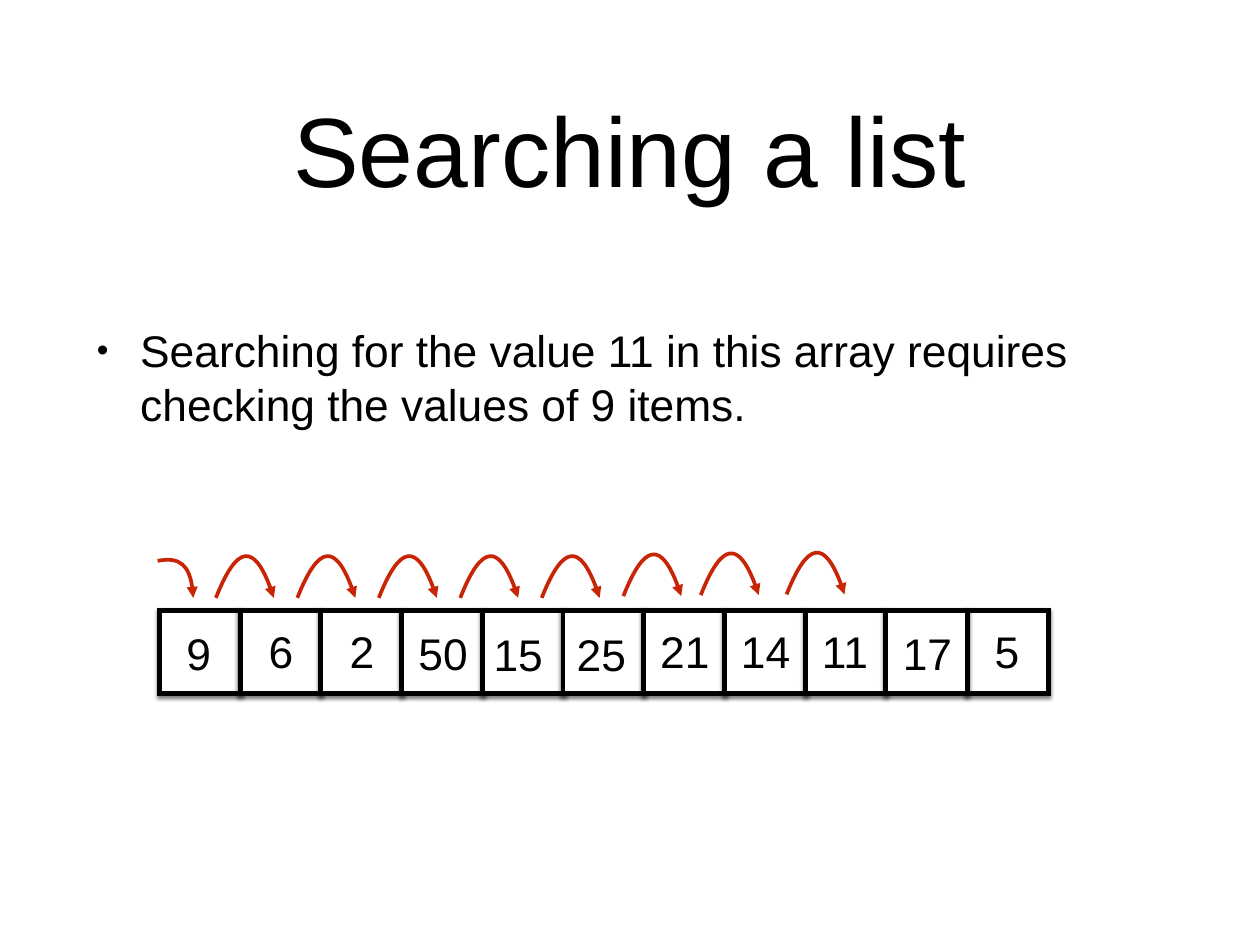
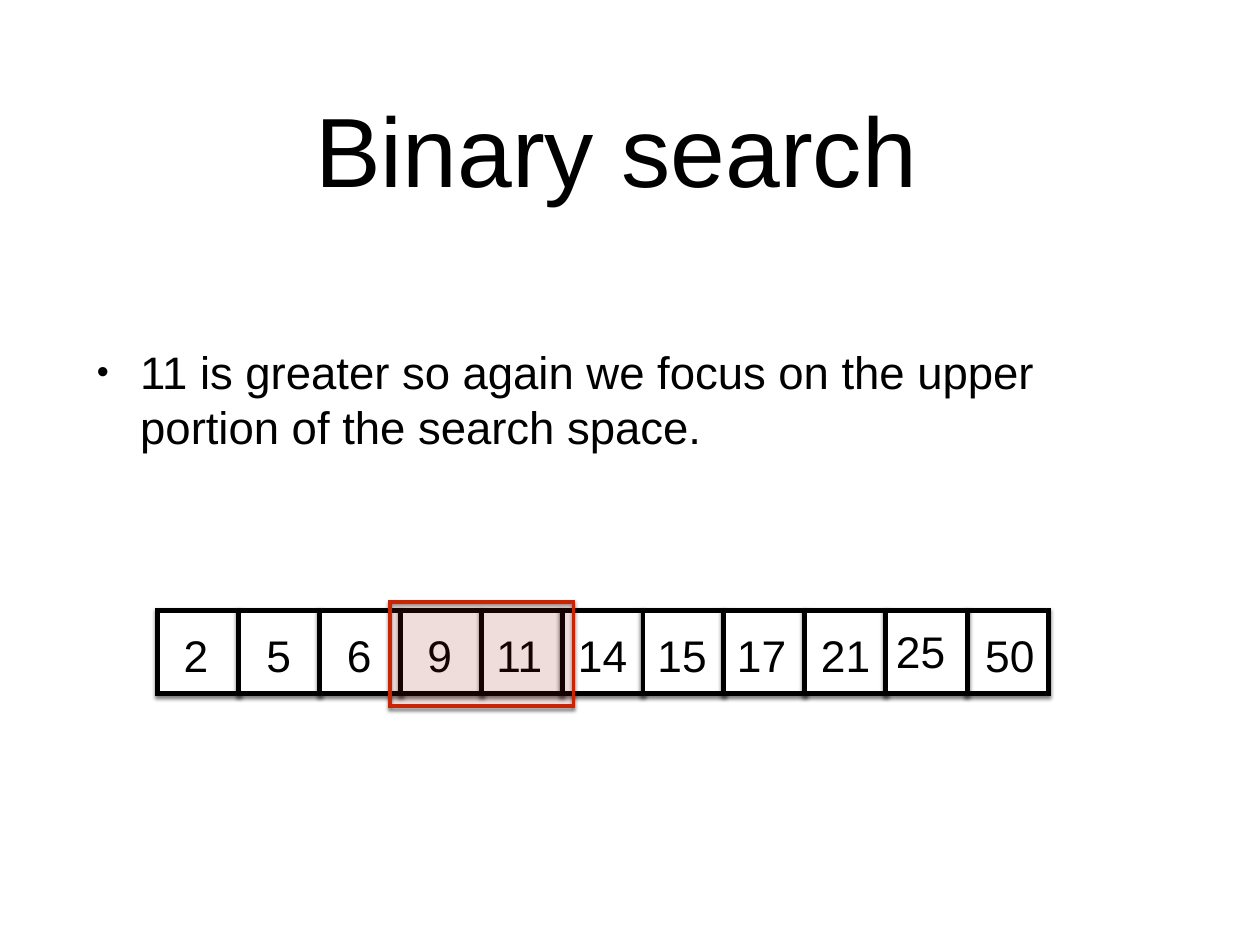
import dataclasses

import pptx
import pptx.dml.color
import pptx.enum.shapes
import pptx.enum.text
import pptx.oxml
import pptx.oxml.ns
import pptx.util
from lxml import etree

Cm = pptx.util.Cm
Pt = pptx.util.Pt
Color = pptx.dml.color.RGBColor
qn = pptx.oxml.ns.qn
Anchor = pptx.enum.text.MSO_ANCHOR
Align = pptx.enum.text.PP_ALIGN


@dataclasses.dataclass(frozen=True)
class Theme:
    font: str = "Arial"
    ink: Color = Color.from_string("000000")
    paper: Color = Color.from_string("FFFFFF")
    accent: Color = Color.from_string("C82506")
    title_size: int = 80
    value_size: int = 36
    cell_line: int = 4
    accent_line: int = 3


CELL_TOP, CELL_WIDTH, CELL_HEIGHT = 17.49, 2.34, 2.39
LAST_CELL_LEFT = 27.71
LABEL_HEIGHT = 1.8

# Each entry: value, shift from the cell centre, top of the label
UNSORTED = [
    ("9", -0.04, 17.81), ("6", 0, 17.75), ("2", 0.01, 17.75),
    ("50", 0.02, 17.81), ("15", -0.14, 17.83), ("25", -0.07, 17.83),
    ("21", 0.01, 17.75), ("14", 0.01, 17.75), ("11", -0.03, 17.75),
    ("17", 0.02, 17.81), ("5", -0.01, 17.75),
]
SORTED = [
    ("2", -0.07, 17.87), ("5", -0.02, 17.87), ("6", -0.03, 17.87),
    ("9", -0.04, 17.87), ("11", -0.08, 17.87), ("14", -0.01, 17.87),
    ("15", -0.05, 17.87), ("17", -0.09, 17.87), ("21", 0, 17.87),
    ("25", -0.17, 17.77), ("50", 0.07, 17.87),
]
ENTRY_ARC = [(4.52, 16.08), (5.18, 15.95), (5.51, 16.31), (5.54, 17.14)]
ENTRY_PEAK = 16.05
HOP_STARTS = [(6.19 + 2.335 * hop, 17.14) for hop in range(5)]
HOP_STARTS += [(17.87, 17.09), (20.09, 17.06), (22.55, 17.04)]
HOP_SHAPE = [(0, 0), (0.61, -1.55), (1.17, -1.55), (1.66, 0)]
HOP_RISE = 1.17


class SlideWriter:
    """Adds elements in the shared style to the current slide."""

    def __init__(self, deck, theme):
        self.deck = deck
        self.theme = theme
        self.slide = None

    def new_slide(self, title):
        self.slide = self.deck.slides.add_slide(self.deck.slide_layouts[1])
        box = self.slide.shapes.title
        self.place(box, 2.64, 1.24, 30.84, 5.99)
        para = self.fill_text(box, title, self.theme.title_size)
        para.alignment = Align.CENTER

    def place(self, box, left, top, width, height):
        box.left, box.top = Cm(left), Cm(top)
        box.width, box.height = Cm(width), Cm(height)

    def fill_text(self, box, text, size, wrap=True):
        frame = box.text_frame
        frame.word_wrap = wrap
        frame.auto_size = pptx.enum.text.MSO_AUTO_SIZE.NONE
        frame.vertical_anchor = Anchor.MIDDLE
        frame.margin_left = frame.margin_right = Cm(0.15)
        frame.margin_top = frame.margin_bottom = Cm(0.15)
        para = frame.paragraphs[0]
        span = para.add_run()
        span.text = text
        span.font.name = self.theme.font
        span.font.size = Pt(size)
        span.font.color.rgb = self.theme.ink
        return para

    def bullet(self, text, size, width, height):
        box = self.slide.placeholders[1]
        self.place(box, 2.63, 7.23, width, height)
        para = self.fill_text(box, text, size)
        para.alignment = Align.LEFT
        para.space_before = Pt(42)
        props = para._p.get_or_add_pPr()
        props.set("marL", str(Cm(1.24)))
        props.set("indent", str(-Cm(1.24)))
        etree.SubElement(props, qn("a:buSzPct"), val="75000")
        etree.SubElement(props, qn("a:buFont"), typeface=self.theme.font)
        etree.SubElement(props, qn("a:buChar"), char="•")

    def rectangle(self, left, top, width, height, fill, line, weight, opacity=100):
        box = self.slide.shapes.add_shape(
            pptx.enum.shapes.MSO_SHAPE.RECTANGLE,
            Cm(left), Cm(top), Cm(width), Cm(height))
        box.fill.solid()
        box.fill.fore_color.rgb = fill
        box.line.color.rgb = line
        box.line.width = Pt(weight)
        box.shadow.inherit = False
        props = box._element.spPr
        etree.SubElement(props.find(qn("a:ln")), qn("a:miter"), lim="400000")
        if opacity < 100:
            color = props.find(qn("a:solidFill")).find(qn("a:srgbClr"))
            etree.SubElement(color, qn("a:alpha"), val=str(opacity * 1000))
        shadow = etree.SubElement(
            props.find(qn("a:effectLst")), qn("a:outerShdw"),
            blurRad=str(Pt(3)), dist=str(Pt(2)), dir="5400000", rotWithShape="0")
        color = etree.SubElement(shadow, qn("a:srgbClr"), val=str(self.theme.ink))
        etree.SubElement(color, qn("a:alpha"), val="50000")

    def label(self, text, centre, top):
        width = 1.02 if len(text) == 1 else 1.73
        box = self.slide.shapes.add_textbox(
            Cm(centre - width / 2), Cm(top), Cm(width), Cm(LABEL_HEIGHT))
        para = self.fill_text(box, text, self.theme.value_size, wrap=False)
        para.alignment = Align.CENTER

    def array(self, left, items):
        last = len(items) - 1
        pitch = (LAST_CELL_LEFT - left) / last
        for index in [last, *range(last)]:
            self.rectangle(left + pitch * index, CELL_TOP, CELL_WIDTH, CELL_HEIGHT,
                           self.theme.paper, self.theme.ink, self.theme.cell_line)
        for index, (value, shift, top) in enumerate(items):
            self.label(value, left + pitch * index + CELL_WIDTH / 2 + shift, top)

    def highlight(self, left, top, width, height):
        self.rectangle(left, top, width, height, self.theme.accent,
                       self.theme.accent, self.theme.accent_line, opacity=10)

    def arc_arrow(self, controls, peak):
        """Draws one Bézier curve; peak is the height its outline reaches."""
        points = [(Cm(x), Cm(y)) for x, y in controls]
        builder = self.slide.shapes.build_freeform(*points[0])
        builder.add_line_segments([(points[1][0], Cm(peak)), points[3]], close=False)
        arc = builder.convert_to_shape()
        arc.fill.background()
        arc.line.color.rgb = self.theme.accent
        arc.line.width = Pt(self.theme.accent_line)
        arc.shadow.inherit = False
        props = arc._element.spPr
        etree.SubElement(props.find(qn("a:ln")), qn("a:tailEnd"), type="triangle")
        outline = next(props.iter(qn("a:path")))
        for segment in outline.findall(qn("a:lnTo")):
            outline.remove(segment)
        curve = etree.SubElement(outline, qn("a:cubicBezTo"))
        for x, y in points[1:]:
            etree.SubElement(curve, qn("a:pt"), x=str(x - arc.left), y=str(y - arc.top))


def main():
    deck = pptx.Presentation()
    deck.slide_width, deck.slide_height = Cm(36.12), Cm(27.09)
    writer = SlideWriter(deck, Theme())

    writer.new_slide("Searching a list")
    writer.bullet("Searching for the value 11 in this array requires "
                  "checking the values of 9 items.", 36, 30.84, 7.14)
    writer.array(4.57, UNSORTED)
    for left, base in HOP_STARTS:
        writer.arc_arrow([(left + x, base + y) for x, y in HOP_SHAPE], base - HOP_RISE)
    writer.arc_arrow(ENTRY_ARC, ENTRY_PEAK)

    writer.new_slide("Binary search ")
    writer.bullet("11 is greater so again we focus on the upper "
                  "portion of the search space.", 37, 28.68, 8.41)
    writer.array(4.52, SORTED)
    writer.highlight(11.18, 17.25, 5.26, 3)

    deck.save("out.pptx")


if __name__ == "__main__":
    main()
